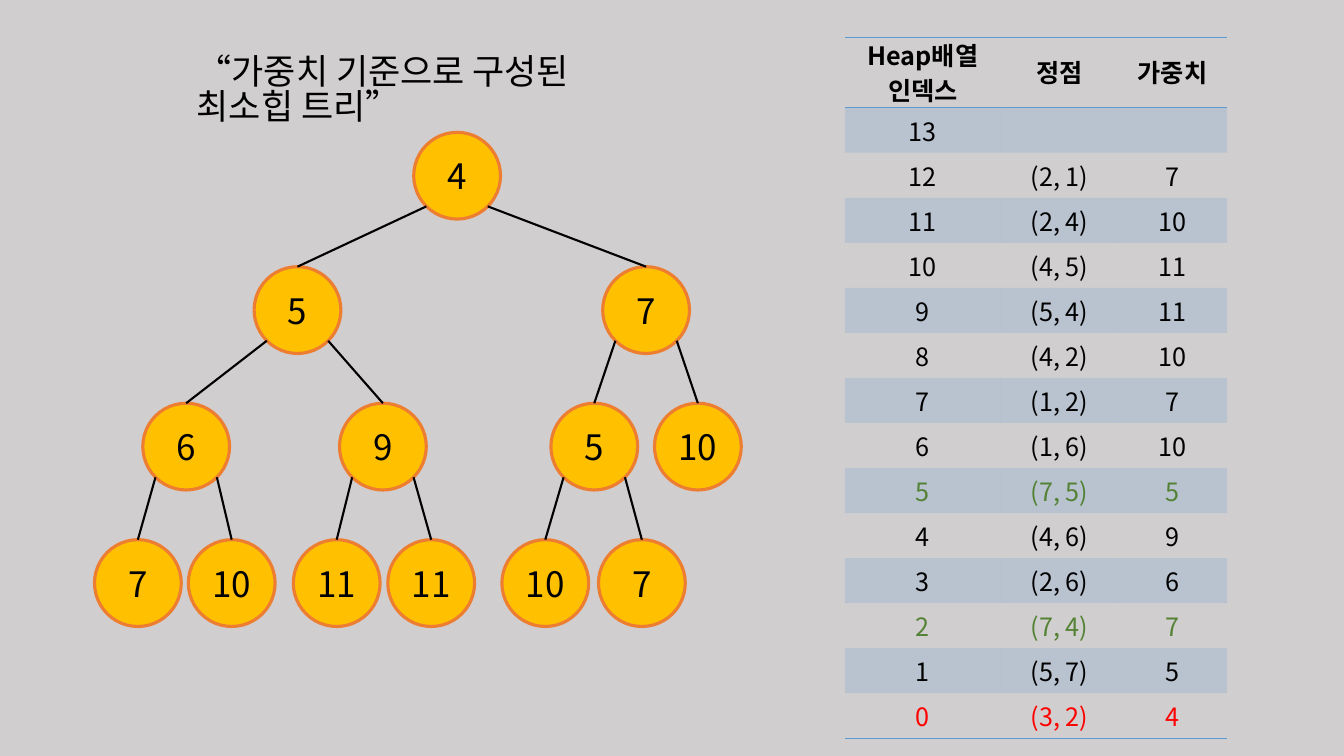
import math
from dataclasses import dataclass

import pptx
import pptx.dml.color
import pptx.enum.shapes
import pptx.enum.text
import pptx.util
from lxml import etree

Pt = pptx.util.Pt
RGB = pptx.dml.color.RGBColor.from_string
CENTER = pptx.enum.text.PP_ALIGN.CENTER
MIDDLE = pptx.enum.text.MSO_ANCHOR.MIDDLE
A = "{http://schemas.openxmlformats.org/drawingml/2006/main}"
PLAIN_TABLE_STYLE = "{2D5ABB26-0587-4C30-8999-92F81FD0307C}"


@dataclass(frozen=True)
class Theme:
    font: str = "Noto Sans CJK KR"
    background: str = "D0CECE"
    ink: str = "000000"
    node: str = "FFC000"
    node_line: str = "ED7D31"
    accent: str = "5B9BD5"
    green: str = "548235"
    red: str = "FF0000"
    large: float = 25
    small: float = 18


theme = Theme()


def style_text(frame, size, color=theme.ink, bold=False, align=None):
    for para in frame.paragraphs:
        para.alignment = align
        for span in para.runs:
            span.font.size = Pt(size)
            span.font.bold = bold
            span.font.name = theme.font
            span.font.color.rgb = RGB(color)
            etree.SubElement(span.font._element, A + "ea", typeface=theme.font)


def add_border(cell, side):
    """Draw one edge of a cell; side is lnT or lnB."""
    properties = cell._tc.get_or_add_tcPr()
    line = etree.Element(A + side, w=str(Pt(1)))
    fill = etree.SubElement(line, A + "solidFill")
    etree.SubElement(fill, A + "srgbClr", val=theme.accent)
    position = len(properties.findall(A + "lnT"))
    properties.insert(position, line)


deck = pptx.Presentation()
deck.slide_width, deck.slide_height = Pt(960), Pt(540)
page = deck.slides.add_slide(deck.slide_layouts[6])
page.background.fill.solid()
page.background.fill.fore_color.rgb = RGB(theme.background)

title = page.shapes.add_textbox(Pt(133.5), Pt(37), Pt(342.5), Pt(68))
title.text_frame.word_wrap = True
title.text_frame.text = "“가중치 기준으로 구성된 최소힙 트리”"
title.text_frame.paragraphs[0].line_spacing = 0.83
style_text(title.text_frame, theme.large)

# Heap entries in index order: vertex pair, weight, centre of the tree node
heap = [
    ("(3, 2)", 4, 326.5),
    ("(5, 7)", 5, 212.5), ("(7, 4)", 7, 461.5),
    ("(2, 6)", 6, 133), ("(4, 6)", 9, 273.5), ("(7, 5)", 5, 424.5), ("(1, 6)", 10, 498.5),
    ("(1, 2)", 7, 98.5), ("(4, 2)", 10, 165.5), ("(5, 4)", 11, 240.5),
    ("(4, 5)", 11, 308), ("(2, 4)", 10, 389.5), ("(2, 1)", 7, 458.5),
]
highlights = {0: theme.red, 2: theme.green, 5: theme.green}

# Tree
diameter = 62
radius = diameter / 2
level_tops = [94.5, 190.5, 288, 385.5]
diagonal = radius * math.sqrt(0.5)
for index, (vertex, weight, center) in enumerate(heap):
    level = int(math.log2(index + 1))
    top = level_tops[level]
    node = page.shapes.add_shape(pptx.enum.shapes.MSO_SHAPE.OVAL,
                                 Pt(center - radius), Pt(top), Pt(diameter), Pt(diameter))
    node.shadow.inherit = False
    node.fill.solid()
    node.fill.fore_color.rgb = RGB(theme.node)
    node.line.color.rgb = RGB(theme.node_line)
    node.line.width = Pt(2.25)
    frame = node.text_frame
    frame.margin_left = frame.margin_right = 0
    frame.vertical_anchor = MIDDLE
    frame.text = str(weight)
    style_text(frame, theme.large, align=CENTER)
    if index == 0:
        continue
    parent_center = heap[(index - 1) // 2][2]
    side = -1 if index % 2 else 1
    branch = page.shapes.add_connector(
        pptx.enum.shapes.MSO_CONNECTOR.STRAIGHT,
        Pt(parent_center + side * diagonal), Pt(level_tops[level - 1] + radius + diagonal),
        Pt(center), Pt(top))
    branch.line.color.rgb = RGB(theme.ink)
    branch.line.width = Pt(1.5)
    etree.SubElement(branch._element.spPr, A + "effectLst")

# Heap array
rows = [("Heap배열\n인덱스", "정점", "가중치"), ("13", "", "")]
rows += [(str(index), heap[index][0], str(heap[index][1])) for index in reversed(range(len(heap)))]
column_widths = [111.5, 83.5, 78]
header_height, row_height = 50.4, 32.2
table_frame = page.shapes.add_table(
    len(rows), len(column_widths), Pt(603.5), Pt(26.5), Pt(sum(column_widths)),
    Pt(header_height + row_height * (len(rows) - 1)))
table = table_frame.table
table.horz_banding = False
table._tbl.tblPr.find(A + "tableStyleId").text = PLAIN_TABLE_STYLE
for column, width in zip(table.columns, column_widths):
    column.width = Pt(width)
for number, texts in enumerate(rows):
    is_header = number == 0
    table.rows[number].height = Pt(header_height if is_header else row_height)
    color = theme.ink if is_header else highlights.get(int(texts[0]), theme.ink)
    for cell, text in zip(table.rows[number].cells, texts):
        cell.vertical_anchor = MIDDLE
        cell.margin_top = cell.margin_bottom = 0
        cell.text = text
        style_text(cell.text_frame, theme.small, color, is_header, CENTER)
        if not text:
            cell.text_frame.paragraphs[0].font.size = Pt(theme.small)
        if number % 2:
            cell.fill.solid()
            cell.fill.fore_color.rgb = RGB(theme.accent)
            tint = cell._tc.tcPr.find(A + "solidFill")[0]
            etree.SubElement(tint, A + "alpha", val="20000")
        else:
            cell.fill.background()
        if is_header:
            for para in cell.text_frame.paragraphs:
                para.line_spacing = 0.95
            add_border(cell, "lnT")
        if is_header or number == len(rows) - 1:
            add_border(cell, "lnB")

deck.save("out.pptx")
